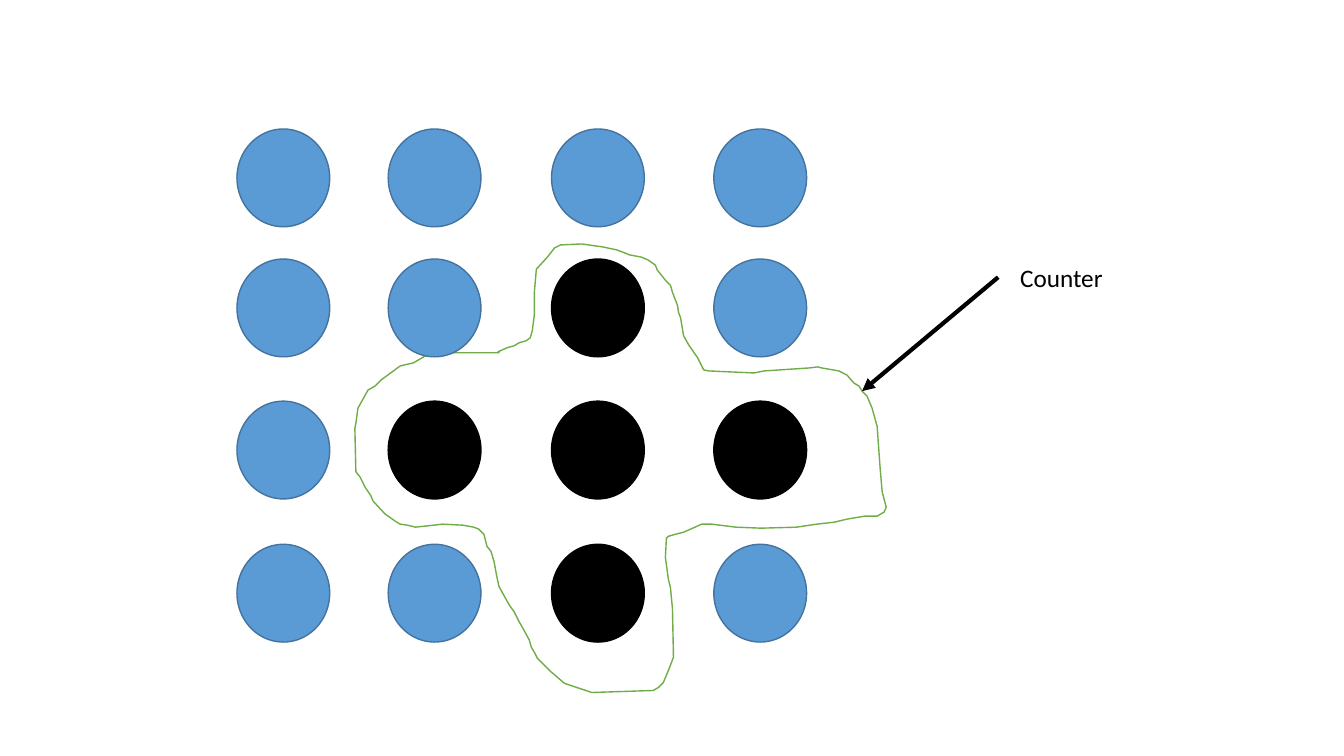
import pptx
import pptx.util
import pptx.dml.color
import pptx.enum.shapes
import pptx.enum.text
import pptx.oxml
import pptx.oxml.ns

HUES = {"blue": "5B9BD5", "edge": "43739E", "black": "000000",
        "white": "FFFFFF", "green": "70AD47"}

# The slide is a grid of 1333 columns by 750 rows.
CELL = pptx.util.Inches(0.01)


def span(*cells):
    """Turn counts of grid cells into lengths."""
    return [pptx.util.Emu(round(n * CELL)) for n in cells]


def paint(shape, fill, line):
    """Set fill and a thin line, without shadow."""
    shape.shadow.inherit = False
    shape.fill.solid()
    shape.fill.fore_color.rgb = pptx.dml.color.RGBColor.from_string(HUES[fill])
    shape.line.color.rgb = pptx.dml.color.RGBColor.from_string(HUES[line])
    shape.line.width = pptx.util.Pt(1)


deck = pptx.Presentation()
deck.slide_width, deck.slide_height = span(1333, 750)
slide = deck.slides.add_slide(deck.slide_layouts[6])
shapes = slide.shapes

# Outline round the black dots, counter-clockwise from the upper right
ring = [
    (803, 365), (758, 368), (748, 370), (703, 368), (698, 367), (692, 355),
    (683, 342), (678, 333), (675, 315), (673, 310), (672, 303), (667, 290),
    (665, 283), (660, 278), (652, 268), (650, 263), (643, 258), (636, 255),
    (625, 253), (612, 248), (598, 245), (577, 242), (556, 243), (550, 246),
    (543, 255), (532, 267), (530, 290), (530, 312), (528, 328), (526, 335),
    (522, 338), (515, 340), (510, 343), (503, 345), (494, 349), (495, 350),
    (445, 350), (422, 353), (410, 360), (397, 363), (378, 377), (372, 383),
    (365, 387), (355, 405), (353, 420), (352, 425), (353, 468), (357, 473),
    (362, 483), (368, 492), (370, 497), (382, 510), (392, 517), (397, 520),
    (404, 521), (412, 523), (439, 520), (459, 521), (470, 523), (475, 525),
    (480, 530), (483, 542), (487, 547), (490, 557), (493, 573), (495, 582),
    (505, 600), (510, 607), (515, 617), (518, 622), (525, 635), (527, 642),
    (530, 647), (533, 653), (546, 666), (560, 678), (587, 687), (648, 685),
    (653, 682), (658, 677), (663, 665), (668, 652), (667, 604), (665, 583),
    (663, 575), (660, 553), (661, 534), (663, 532), (670, 530), (678, 528),
    (696, 520), (706, 520), (730, 523), (755, 524), (790, 523), (810, 520),
    (828, 518), (840, 515), (858, 512), (870, 512), (877, 508), (879, 503),
    (875, 488), (873, 465), (870, 423), (865, 405), (860, 393), (855, 388),
    (852, 383), (847, 380), (840, 372), (832, 368), (815, 365), (811, 364)]
pen = shapes.build_freeform(*ring[0], scale=CELL)
pen.add_line_segments(ring[1:], close=True)
paint(pen.convert_to_shape(), "white", "green")

# Four by four dots, the black ones forming a cross
COLS = [235, 385, 547, 708]
ROWS = [128, 257, 398, 540]
CROSS = {(1, 2), (2, 1), (2, 2), (2, 3), (3, 2)}
for col, left in enumerate(COLS):
    for row, top in enumerate(ROWS):
        dot = shapes.add_shape(pptx.enum.shapes.MSO_SHAPE.OVAL,
                               *span(left, top, 92, 97))
        if (row, col) in CROSS:
            paint(dot, "black", "black")
        else:
            paint(dot, "blue", "edge")

# Arrow from the label to the outline
arrow = shapes.add_connector(pptx.enum.shapes.MSO_CONNECTOR.STRAIGHT,
                             *span(990, 275, 855, 388))
arrow.line.color.rgb = pptx.dml.color.RGBColor.from_string(HUES["black"])
arrow.line.width = pptx.util.Pt(3)
tip = pptx.oxml.parse_xml(
    f'<a:tailEnd {pptx.oxml.ns.nsdecls("a")} type="triangle"/>')
arrow.line._get_or_add_ln().append(tip)
flat = pptx.oxml.parse_xml(f'<a:effectLst {pptx.oxml.ns.nsdecls("a")}/>')
arrow._element.spPr.append(flat)

# Label
label = shapes.add_textbox(*span(1002, 255, 217, 40))
frame = label.text_frame
frame.word_wrap = True
frame.auto_size = pptx.enum.text.MSO_AUTO_SIZE.SHAPE_TO_FIT_TEXT
run = frame.paragraphs[0].add_run()
run.text = "Counter"
run.font.name = "Calibri"
run.font.size = pptx.util.Pt(18)
run.font.color.rgb = pptx.dml.color.RGBColor.from_string(HUES["black"])

deck.save("out.pptx")
